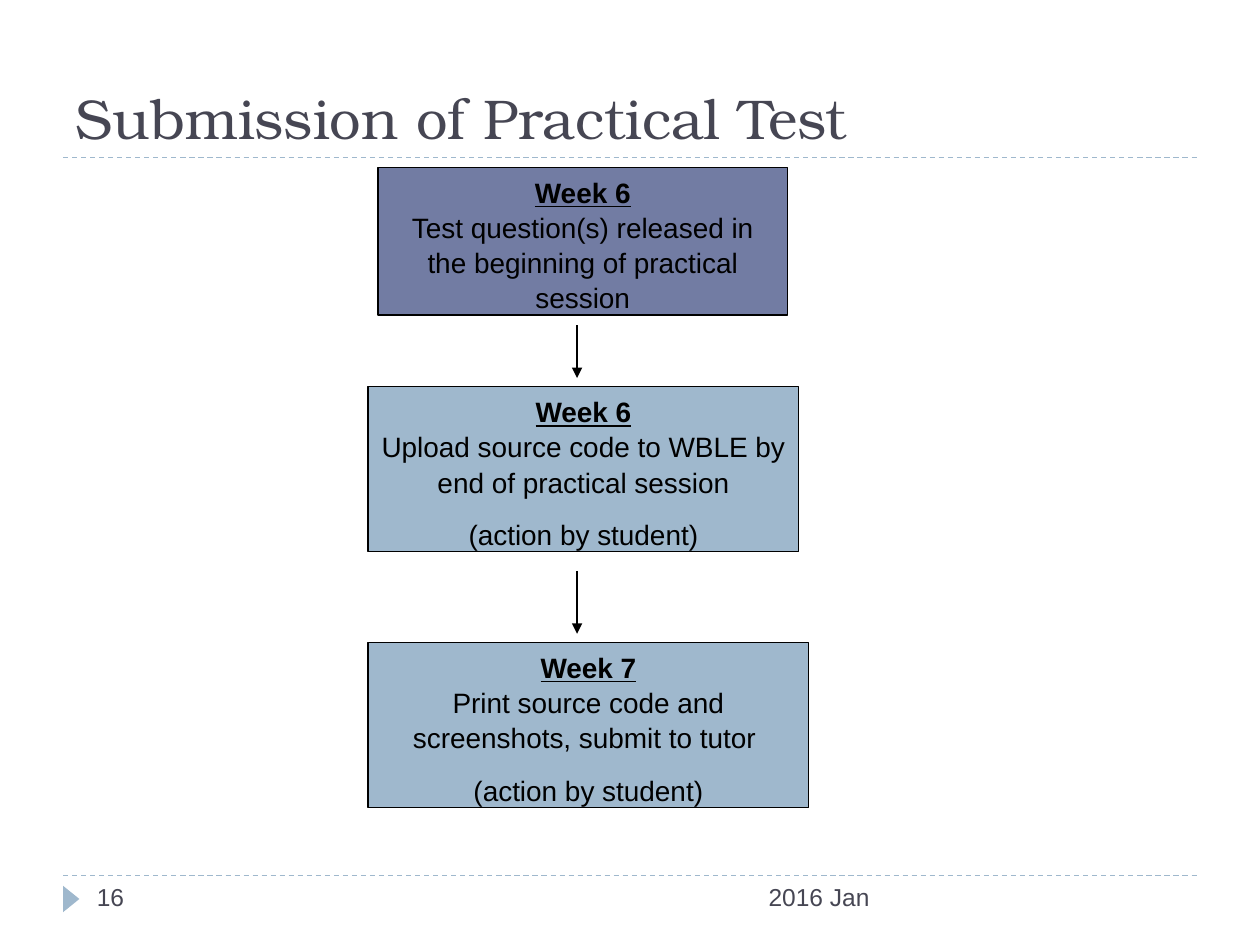
from pptx import Presentation
from pptx.dml.color import RGBColor
from pptx.enum.dml import MSO_LINE
from pptx.enum.shapes import MSO_CONNECTOR, MSO_SHAPE
from pptx.enum.text import MSO_ANCHOR, PP_ALIGN
from pptx.oxml.ns import qn
from pptx.util import Inches, Pt
from lxml.etree import SubElement

COLORS = {"ink": "464653", "black": "000000", "release": "727CA3", "accent": "9FB8CD"}


def color(name):
    return RGBColor.from_string(COLORS[name])


def add_line(x1, y1, x2, y2, tone, width):
    line = slide.shapes.add_connector(
        MSO_CONNECTOR.STRAIGHT, Inches(x1), Inches(y1), Inches(x2), Inches(y2))
    line.line.color.rgb = color(tone)
    line.line.width = Pt(width)
    SubElement(line._element.spPr, qn("a:effectLst"))
    return line


prs = Presentation()
prs.slide_width, prs.slide_height = Inches(10), Inches(7.5)
slide = prs.slides.add_slide(prs.slide_layouts[5])

for rule_y in (6.95, 1.25):
    rule = add_line(0.5, rule_y, 9.5, rule_y, "accent", 0.75)
    rule.line.dash_style = MSO_LINE.DASH

page_marker = slide.shapes.add_shape(
    MSO_SHAPE.ISOSCELES_TRIANGLE, Inches(0.46), Inches(7.07), Inches(0.21), Inches(0.13))
page_marker.rotation = 90
page_marker.shadow.inherit = False
page_marker.fill.solid()
page_marker.fill.fore_color.rgb = color("accent")
page_marker.line.fill.background()

title = slide.shapes.title
title_place = {"left": 0.5, "top": 0.25, "width": 9, "height": 1}
for side, length in title_place.items():
    setattr(title, side, Inches(length))
title.text_frame.text = "Submission of Practical Test"
title.text_frame.vertical_anchor = MSO_ANCHOR.BOTTOM
heading = title.text_frame.paragraphs[0]
heading.alignment = PP_ALIGN.LEFT
for key, value in {"name": "TeX Gyre Bonum", "size": Pt(32)}.items():
    setattr(heading.font, key, value)
heading.font.color.rgb = color("ink")

footers = [
    ("2016 Jan", 3.17, 3.83, PP_ALIGN.RIGHT),
    ("16", 0.67, 2.17, PP_ALIGN.LEFT),
]
for words, left, width, alignment in footers:
    footer = slide.shapes.add_textbox(Inches(left), Inches(6.95), Inches(width), Inches(0.4))
    footer.text_frame.word_wrap = True
    footer.text_frame.text = words
    footer_line = footer.text_frame.paragraphs[0]
    footer_line.alignment = alignment
    for key, value in {"name": "Arial", "size": Pt(14)}.items():
        setattr(footer_line.font, key, value)
    footer_line.font.color.rgb = color("ink")

steps = [
    (3, 1.33, 3.25, 1.17, "release",
     ["Week 6", "Test question(s) released in the beginning of practical session"]),
    (2.92, 3.07, 3.42, 1.31, "accent",
     ["Week 6", "Upload source code to WBLE by end of practical session", "(action by student)"]),
    (2.92, 5.1, 3.5, 1.31, "accent",
     ["Week 7", "Print source code and screenshots, submit to tutor ", "(action by student)"]),
]
for left, top, width, height, tone, lines in steps:
    step = slide.shapes.add_shape(
        MSO_SHAPE.RECTANGLE, Inches(left), Inches(top), Inches(width), Inches(height))
    step.shadow.inherit = False
    step.fill.solid()
    step.fill.fore_color.rgb = color(tone)
    step.line.color.rgb = color("black")
    step.line.width = Pt(0.75)
    frame = step.text_frame
    frame.word_wrap = True
    frame.vertical_anchor = MSO_ANCHOR.TOP
    frame.text = "\n".join(lines)
    for number, paragraph in enumerate(frame.paragraphs):
        is_week = number == 0
        paragraph.alignment = PP_ALIGN.CENTER
        paragraph.line_spacing = 1.05
        paragraph.space_before = Pt(10 if number == 2 else 0)
        step_format = {"name": "Arial", "size": Pt(16), "bold": is_week, "underline": is_week}
        for key, value in step_format.items():
            setattr(paragraph.font, key, value)
        paragraph.font.color.rgb = color("black")

for start_y, end_y in ((2.58, 3), (4.53, 5.03)):
    arrow = add_line(4.58, start_y, 4.58, end_y, "black", 1.5)
    SubElement(arrow.line._get_or_add_ln(), qn("a:tailEnd"), type="triangle")

prs.save("out.pptx")
